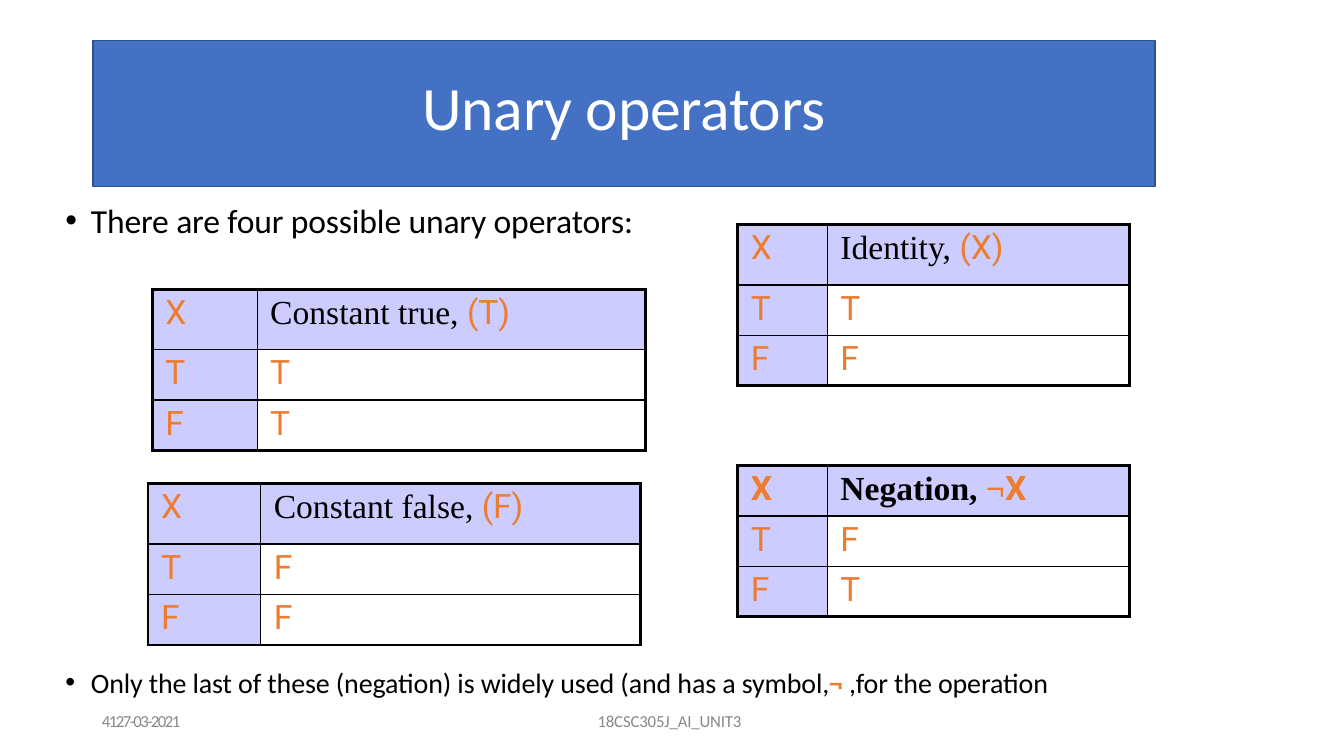
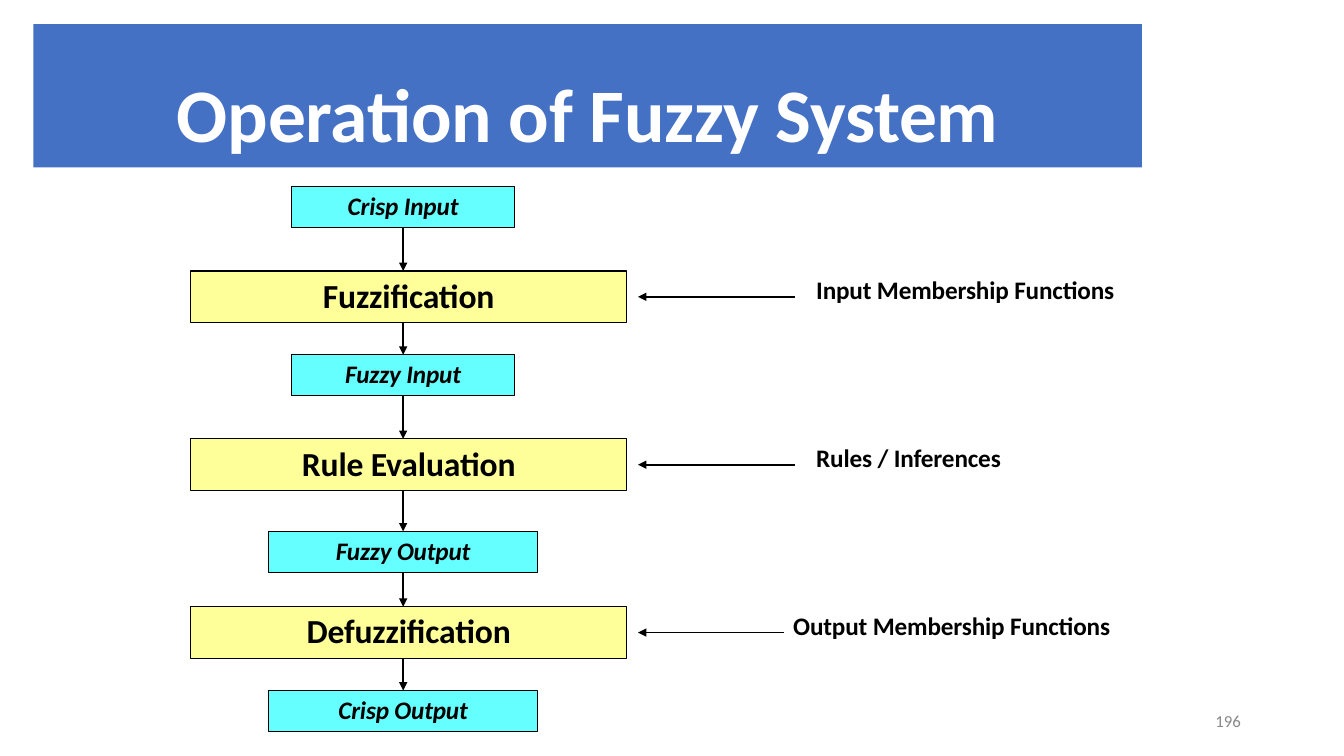
from lxml import etree
from pptx import Presentation
from pptx.dml.color import RGBColor
from pptx.enum import shapes, text
from pptx.oxml import ns
from pptx.util import Cm, Pt

BLUE = RGBColor(0x44, 0x71, 0xC4)
NAVY = RGBColor(0x2E, 0x52, 0x8F)
WHITE = RGBColor(0xFF, 0xFF, 0xFF)
BLACK = RGBColor(0, 0, 0)
GREY = RGBColor(0x88, 0x88, 0x88)
ORANGE = RGBColor(0xEC, 0x7C, 0x30)
LILAC = RGBColor(0xCC, 0xCC, 0xFF)
CYAN = RGBColor(0x66, 0xFF, 0xFF)
YELLOW = RGBColor(0xFF, 0xFF, 0x99)
BODY, SYMBOL, SERIF = "Calibri", "Roboto", "Times New Roman"
TITLE_ONLY = 5


def add_xml(parent, tag, **attributes):
    return etree.SubElement(parent, ns.qn(tag), attributes)


def cm(*lengths):
    return [Cm(length) for length in lengths]


class Deck:
    def __init__(self):
        self.deck = Presentation()
        self.deck.slide_width, self.deck.slide_height = cm(33.87, 19.05)
        self.page = None

    def new_page(self, title, place, inset, size, bold=False, spacing=-0.2, outline=None):
        self.page = self.deck.slides.add_slide(self.deck.slide_layouts[TITLE_ONLY])
        box = self.page.shapes.title
        box.left, box.top, box.width, box.height = cm(*place)
        self.paint(box, BLUE, outline, 1)
        self.set_words(box.text_frame, title, inset, text.PP_ALIGN.CENTER,
                       size=size, color=WHITE, bold=bold, spacing=spacing)

    def paint(self, box, color, outline, width):
        box.fill.solid()
        box.fill.fore_color.rgb = color
        if outline is None:
            box.line.fill.background()
        else:
            box.line.color.rgb = outline
            box.line.width = Pt(width)

    def style(self, span, size=18, color=BLACK, name=BODY, bold=False, italic=False, spacing=-0.1):
        font = span.font
        font.size, font.name, font.bold, font.italic = Pt(size), name, bold, italic
        font.color.rgb = color
        font._element.set("spc", str(round(spacing * 100)))

    def set_words(self, frame, words, inset=0.03, align=text.PP_ALIGN.LEFT, **style):
        frame.auto_size = text.MSO_AUTO_SIZE.NONE
        frame.word_wrap = True
        frame.vertical_anchor = text.MSO_ANCHOR.TOP
        frame.margin_left = frame.margin_right = frame.margin_bottom = 0
        frame.margin_top = Cm(inset)
        frame.text = words
        para = frame.paragraphs[0]
        para.alignment = align
        self.style(para.runs[0], **style)
        return para

    def add_span(self, para, words, **style):
        span = para.add_run()
        span.text = words
        self.style(span, **style)

    def label(self, words, left, top, width, height=0.84, **style):
        box = self.page.shapes.add_textbox(*cm(left, top, width, height))
        return self.set_words(box.text_frame, words, **style)

    def footer(self, words, left, width, spacing=-0.1):
        self.label(words, left, 17.87, width, 0.55, size=12, color=GREY, spacing=spacing)

    def bullet(self, words, top, width, size):
        para = self.label(words, 1.63, top, width, 1.1, size=size)
        properties = para._p.get_or_add_pPr()
        properties.set("marL", str(Cm(0.66)))
        properties.set("indent", str(Cm(-0.64)))
        add_xml(properties, "a:buFont", typeface="Arial")
        add_xml(properties, "a:buChar", char="•")
        return para

    def panel(self, words, center, top, width, height, color, **style):
        box = self.page.shapes.add_shape(shapes.MSO_SHAPE.RECTANGLE,
                                         *cm(center - width / 2, top, width, height))
        box.shadow.inherit = False
        self.paint(box, color, BLACK, 0.75)
        self.set_words(box.text_frame, words, 0.09, text.PP_ALIGN.CENTER, bold=True, **style)

    def arrow(self, *ends):
        line = self.page.shapes.add_connector(shapes.MSO_CONNECTOR.STRAIGHT, *cm(*ends))
        line.line.color.rgb = BLACK
        line.line.width = Pt(1.25)
        add_xml(line.line._get_or_add_ln(), "a:tailEnd", type="triangle")
        add_xml(line._element.spPr, "a:effectLst")

    def borders(self, cell, **widths):
        properties = cell._tc.get_or_add_tcPr()
        for side in "LRTB":
            edge = add_xml(properties, "a:ln" + side, w=str(Pt(widths[side])))
            add_xml(add_xml(edge, "a:solidFill"), "a:srgbClr", val=str(BLACK))

    def truth_table(self, left, top, columns, name, symbol, values, head=1.52, bold=False):
        rows = [("X", name), ("T", values[0]), ("F", values[1])]
        heights = [head, 1.27, 1.27]
        frame = self.page.shapes.add_table(3, 2, *cm(left, top, sum(columns), sum(heights)))
        table = frame.table
        table.first_row = table.horz_banding = False
        for column, width in zip(table.columns, columns):
            column.width = Cm(width)
        for r, (row, height) in enumerate(zip(rows, heights)):
            table.rows[r].height = Cm(height)
            for c, words in enumerate(row):
                cell = table.cell(r, c)
                self.borders(cell, L=1 if c else 2.25, R=2.25 if c else 1,
                             T=1 if r else 2.25, B=2.25 if r == 2 else 1)
                if r == 0 or c == 0:
                    cell.fill.solid()
                    cell.fill.fore_color.rgb = LILAC
                else:
                    cell.fill.background()
                cell.margin_left, cell.margin_top = cm(0.33, 0.1)
                cell.margin_right = cell.margin_bottom = 0
                cell.text = words
                heading = r == 0 and c == 1
                para = cell.text_frame.paragraphs[0]
                self.style(para.runs[0], size=24, bold=bold and r == 0, spacing=0,
                           name=SERIF if heading else SYMBOL,
                           color=BLACK if heading else ORANGE)
                if heading:
                    for sign, font in symbol:
                        self.add_span(para, sign, size=24, color=ORANGE, name=font, bold=bold)


def unary_operators(deck):
    deck.new_page("Unary operators", (2.34, 1.02, 26.77, 3.68), 0.71, 44, outline=NAVY)
    deck.truth_table(3.84, 7.29, (2.64, 9.78), "Constant true, ", [("(T)", SYMBOL)], "TT")
    deck.truth_table(3.73, 12.19, (2.84, 9.58), "Constant false, ", [("(F)", SYMBOL)], "FF")
    deck.truth_table(18.59, 5.66, (2.26, 7.62), "Identity, ", [("(X)", SYMBOL)], "TF")
    deck.truth_table(18.59, 11.73, (2.26, 7.62), "Negation, ", [("¬", SERIF), ("X", SYMBOL)],
                     "FT", head=1.27, bold=True)
    deck.bullet("There are four possible unary operators:", 5, 15.5, 24)
    para = deck.bullet("Only the last of these (negation) is widely used (and has a symbol,",
                       16.74, 26, 20)
    deck.add_span(para, "¬ ", size=20, color=ORANGE, bold=True)
    deck.add_span(para, ",for the operation", size=20)
    deck.footer("4127-03-2021", 2.57, 2.5, -1.1)
    deck.footer("18CSC305J_AI_UNIT3", 15.06, 4.2)


def fuzzy_system(deck):
    deck.new_page("Operation of Fuzzy System", (0.84, 0.61, 27.94, 3.61), 1.07, 54, bold=True)
    axis, first, pitch = 10.16, 6.83, 4.23
    data_height, step_height = 1.04, 1.3
    data = [("Crisp Input", 4.7, 5.64), ("Fuzzy Input", 8.94, 5.64),
            ("Fuzzy Output", 13.39, 6.78), ("Crisp Output", 17.4, 6.78)]
    steps = [("Fuzzification", "Input Membership Functions", 20.04, 20.57),
             ("Rule Evaluation", "Rules / Inferences", 20.04, 20.57),
             ("Defuzzification", "Output Membership Functions", 19.76, 19.99)]
    for words, top, width in data:
        deck.panel(words, axis, top, width, data_height, CYAN, italic=True)
    for i, (words, note, tail, left) in enumerate(steps):
        top = first + i * pitch
        bottom, middle = top + step_height, top + step_height / 2
        deck.panel(words, 10.3, top, 11, step_height, YELLOW, size=24)
        deck.arrow(axis, data[i][1] + data_height, axis, top)
        deck.arrow(axis, bottom, axis, data[i + 1][1])
        deck.arrow(tail, middle, 16.08, middle)
        deck.label(note, left, top + 0.05, 9, bold=True)
    deck.footer("196", 30.63, 1, 0)


def main():
    deck = Deck()
    unary_operators(deck)
    fuzzy_system(deck)
    deck.deck.save("out.pptx")


if __name__ == "__main__":
    main()
